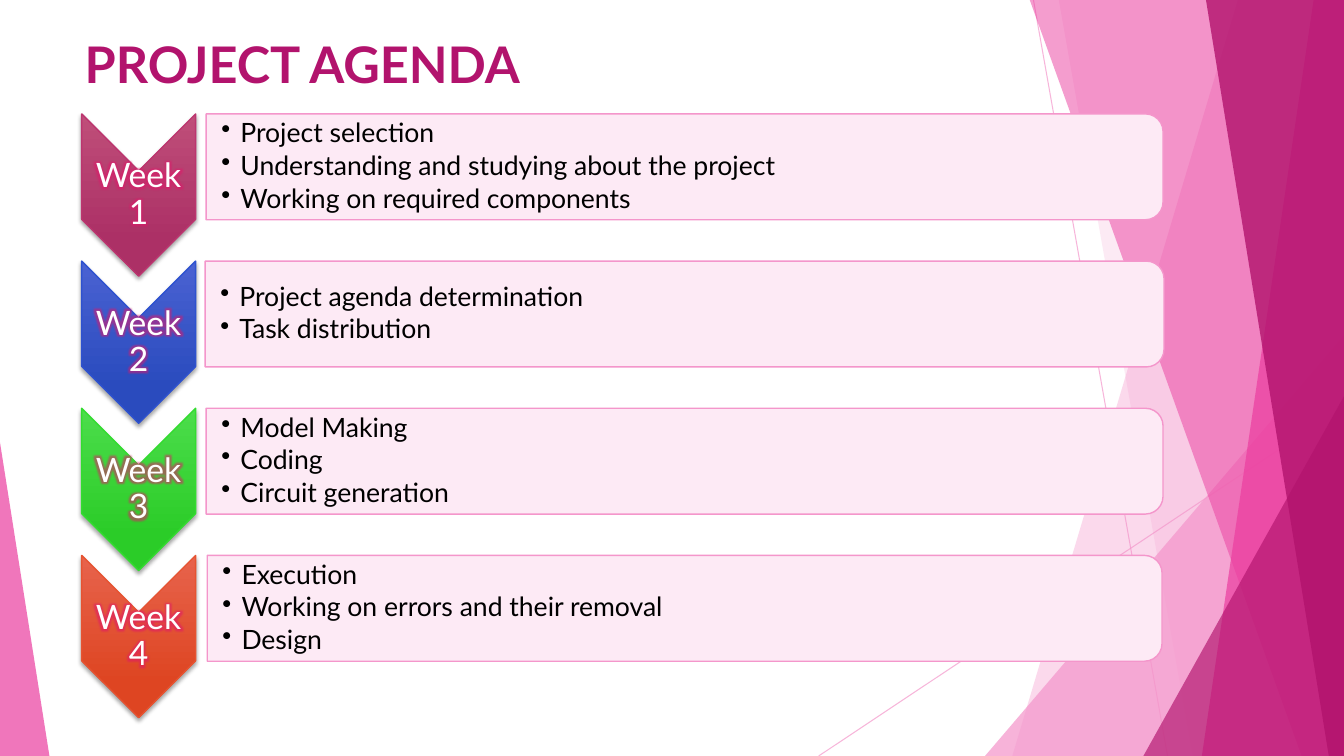
from lxml import etree
from pptx import Presentation
from pptx.dml.color import RGBColor
from pptx.enum import shapes, text
from pptx.oxml import parse_xml
from pptx.oxml.ns import nsdecls, qn
from pptx.util import Inches, Pt

FONT = "Lato"
WHITE = RGBColor(0xFF, 0xFF, 0xFF)
BLACK = RGBColor(0, 0, 0)
PALE_PINK = RGBColor(0xFD, 0xEA, 0xF5)
LIGHT_PINK = RGBColor(0xF4, 0x96, 0xCB)
PINK = RGBColor(0xEB, 0x3D, 0x9F)
MAGENTA = RGBColor(0xB2, 0x13, 0x6D)
ROSE = RGBColor(0xBC, 0x35, 0x6F)
GLOW = RGBColor(0xE0, 0x18, 0x6A)

# Label, gradient start, gradient end, outline, panel width, tasks
WEEKS = [
    ("Week 1", RGBColor(0xBF, 0x4E, 0x79), RGBColor(0xAC, 0x30, 0x66), ROSE, 9.49,
     ["Project selection", "Understanding and studying about the project",
      "Working on required components"]),
    ("Week 2", RGBColor(0x4A, 0x62, 0xD2), RGBColor(0x2A, 0x4B, 0xBE),
     RGBColor(0x2E, 0x52, 0xCF), 9.51,
     ["Project agenda determination", "Task distribution"]),
    ("Week 3", RGBColor(0x4C, 0xDD, 0x4B), RGBColor(0x2B, 0xCC, 0x28),
     RGBColor(0x32, 0xDC, 0x2F), 9.49,
     ["Model Making", "Coding", "Circuit generation"]),
    ("Week 4", RGBColor(0xE7, 0x63, 0x4C), RGBColor(0xDE, 0x45, 0x22),
     RGBColor(0xE6, 0x53, 0x31), 9.47,
     ["Execution", "Working on errors and their removal", "Design"]),
]


def set_alpha(element, percent):
    color = next(element.iter(qn("a:srgbClr")))
    etree.SubElement(color, qn("a:alpha")).set("val", str(percent * 1000))


def fill_facet(shape, color, alpha):
    shape.shadow.inherit = False
    shape.fill.solid()
    shape.fill.fore_color.rgb = color
    set_alpha(shape.element.spPr.find(qn("a:solidFill")), alpha)
    shape.line.fill.background()


def add_facet_line(slide, start, end):
    line = slide.shapes.add_connector(
        shapes.MSO_CONNECTOR.STRAIGHT, *map(Inches, start + end))
    line.line.color.rgb = LIGHT_PINK
    line.line.width = Pt(0.75)
    properties = line.element.spPr
    set_alpha(properties, 70)
    etree.SubElement(properties, qn("a:effectLst"))


def add_facet_band(slide, right, height, top_x, bottom_x, color, alpha):
    """Fill from a slanted left edge to the right side of the slide."""
    top = -0.01
    builder = slide.shapes.build_freeform(Inches(top_x), Inches(top))
    corners = [(right, top), (right, height), (bottom_x, height)]
    builder.add_line_segments([(Inches(x), Inches(y)) for x, y in corners], close=True)
    fill_facet(builder.convert_to_shape(), color, alpha)


def add_facet_triangle(slide, left, top, right, bottom, apex, color, alpha):
    triangle = slide.shapes.add_shape(
        shapes.MSO_SHAPE.ISOSCELES_TRIANGLE,
        *map(Inches, (left, top, right - left, bottom - top)))
    triangle.adjustments[0] = apex
    fill_facet(triangle, color, alpha)


def add_facets(slide, right, bottom):
    add_facet_line(slide, (10.25, 0), (11.58, bottom))
    add_facet_line(slide, (right, 4.03), (8.12, bottom))
    add_facet_band(slide, right, bottom, 12.28, 10.04, LIGHT_PINK, 36)
    add_facet_band(slide, right, bottom, 10.5, 11.83, LIGHT_PINK, 20)
    add_facet_triangle(slide, 9.77, 3.33, right, bottom, 1, LIGHT_PINK, 72)
    add_facet_band(slide, right, bottom, 10.21, 12.91, PINK, 50)
    add_facet_band(slide, right, bottom, 13.03, 11.92, PINK, 70)
    add_facet_band(slide, right, bottom, 11.96, 13.18, MAGENTA, 80)
    add_facet_triangle(slide, 11.34, 3.93, right, bottom, 1, MAGENTA, 66)
    add_facet_triangle(slide, 0, 4.39, 0.49, bottom, 0, PINK, 70)


def style_run(run, size, color):
    run.font.name = FONT
    run.font.size = Pt(size)
    run.font.color.rgb = color


def add_title(slide, left, top, width, height):
    title = slide.shapes.title
    title.left, title.top = Inches(left), Inches(top)
    title.width, title.height = Inches(width), Inches(height)
    frame = title.text_frame
    frame.text = "PROJECT AGENDA"
    frame.auto_size = text.MSO_AUTO_SIZE.NONE
    frame.vertical_anchor = text.MSO_ANCHOR.TOP
    paragraph = frame.paragraphs[0]
    paragraph.alignment = text.PP_ALIGN.LEFT
    run = paragraph.runs[0]
    style_run(run, 36, MAGENTA)
    run.font.bold = True
    run.font.element.insert(0, parse_xml(
        f'<a:ln {nsdecls("a")} w="{Pt(1.75)}"><a:solidFill>'
        f'<a:srgbClr val="{ROSE}"/></a:solidFill></a:ln>')) if hasattr(
            run.font, "element") else run.font.fill
    return title


def add_turned_shape(slide, kind, left, top, width, height):
    """Place a shape turned by 90 degrees so that it covers the given box."""
    shape = slide.shapes.add_shape(
        kind, Inches(left + (width - height) / 2), Inches(top + (height - width) / 2),
        Inches(height), Inches(width))
    shape.rotation = 90
    shape.shadow.inherit = False
    shape.line.width = Pt(1)
    return shape


def add_text_frame(slide, left, top, width, height, insets):
    box = slide.shapes.add_textbox(*map(Inches, (left, top, width, height)))
    frame = box.text_frame
    frame.word_wrap = True
    frame.vertical_anchor = text.MSO_ANCHOR.MIDDLE
    (frame.margin_left, frame.margin_top,
     frame.margin_right, frame.margin_bottom) = map(Inches, insets)
    return frame


def add_week_chevron(slide, left, top, width, height, label, start, end, outline):
    chevron = add_turned_shape(
        slide, shapes.MSO_SHAPE.CHEVRON, left, top, width, height)
    chevron.adjustments[0] = 0.5
    chevron.line.color.rgb = outline
    properties = chevron.element.spPr
    properties.find(qn("a:prstGeom")).addnext(parse_xml(
        f'<a:gradFill {nsdecls("a")} rotWithShape="0"><a:gsLst>'
        f'<a:gs pos="0"><a:srgbClr val="{start}"/></a:gs>'
        f'<a:gs pos="78000"><a:srgbClr val="{end}"/></a:gs>'
        '</a:gsLst><a:lin ang="5400000" scaled="0"/></a:gradFill>'))
    properties.find(qn("a:effectLst")).append(parse_xml(
        f'<a:outerShdw {nsdecls("a")} blurRad="{Pt(3)}" dist="{Pt(2)}" dir="5400000" '
        'rotWithShape="0"><a:srgbClr val="000000"><a:alpha val="35000"/></a:srgbClr>'
        '</a:outerShdw>'))

    frame = add_text_frame(
        slide, left, top + width / 2, width, height - width, [0.02] * 4)
    frame.text = label
    paragraph = frame.paragraphs[0]
    paragraph.alignment = text.PP_ALIGN.CENTER
    paragraph.line_spacing = 0.9
    paragraph.space_after = Pt(8.4)
    run = paragraph.runs[0]
    style_run(run, 24, WHITE)
    run_properties = paragraph._p.find(qn("a:r")).find(qn("a:rPr"))
    run_properties.find(qn("a:solidFill")).addnext(parse_xml(
        f'<a:effectLst {nsdecls("a")}><a:glow rad="{Pt(8)}"><a:srgbClr val="{GLOW}">'
        '<a:alpha val="55000"/></a:srgbClr></a:glow></a:effectLst>'))


def add_task_panel(slide, left, top, width, height, tasks):
    panel = add_turned_shape(
        slide, shapes.MSO_SHAPE.ROUND_2_SAME_RECTANGLE, left, top, width, height)
    panel.fill.solid()
    panel.fill.fore_color.rgb = PALE_PINK
    panel.line.color.rgb = LIGHT_PINK

    frame = add_text_frame(
        slide, left, top + 0.05, width - 0.05, height - 0.1, (0.15, 0.01, 0.01, 0.01))
    frame.text = "\n".join(tasks)
    for paragraph in frame.paragraphs:
        paragraph.level = 1
        paragraph.line_spacing = 0.9
        paragraph.space_after = Pt(2.85)
        properties = paragraph._p.get_or_add_pPr()
        properties.set("marL", str(Inches(0.19)))
        properties.set("indent", str(Inches(-0.19)))
        etree.SubElement(properties, qn("a:buChar")).set("char", "•")
        style_run(paragraph.runs[0], 19, BLACK)


def add_agenda(slide, left, top, row_pitch):
    panel_center = left + 5.98
    for index, (label, start, end, outline, width, tasks) in enumerate(WEEKS):
        row_top = top + index * row_pitch
        add_week_chevron(slide, left, row_top, 1.13, 1.61, label, start, end, outline)
        add_task_panel(slide, panel_center - width / 2, row_top, width, 1.05, tasks)


def main():
    presentation = Presentation()
    presentation.slide_width, presentation.slide_height = Inches(13.33), Inches(7.5)
    slide = presentation.slides.add_slide(presentation.slide_layouts[5])
    add_facets(slide, 13.33, 7.5)
    add_title(slide, 0.74, 0.28, 9.4, 0.85)
    add_agenda(slide, 0.81, 1.13, 1.46)
    presentation.save("out.pptx")


if __name__ == "__main__":
    main()
